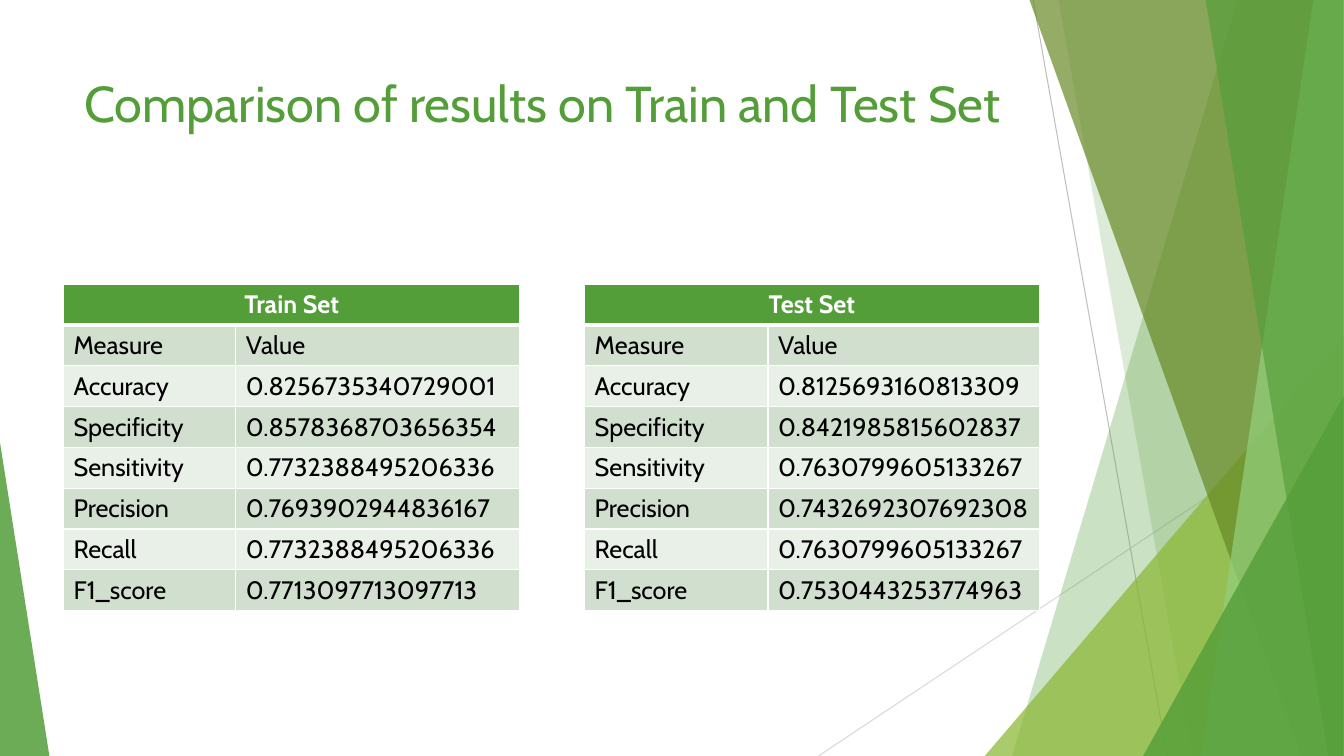
from dataclasses import dataclass

from lxml.etree import SubElement
from pptx import Presentation
from pptx.dml.color import RGBColor
from pptx.enum.shapes import MSO_CONNECTOR, MSO_SHAPE
from pptx.enum.text import PP_ALIGN
from pptx.oxml.ns import qn
from pptx.util import Emu, Pt

PX = 9144  # EMU per px, 100 px to the inch


@dataclass(frozen=True)
class Theme:
    font: str = "Cabin"
    title_size: int = 36
    cell_size: int = 18
    green: str = "549E39"
    lime: str = "8AB833"
    olive: str = "678A26"
    mint: str = "93D07D"
    band_dark: str = "D1DFCE"
    band_light: str = "E9F0E8"
    line_dark: str = "BFBFBF"
    line_light: str = "D9D9D9"
    white: str = "FFFFFF"
    black: str = "000000"


THEME = Theme()
MEASURES = ["Accuracy", "Specificity", "Sensitivity", "Precision", "Recall", "F1_score"]
TRAIN = ["0.8256735340729001", "0.8578368703656354", "0.7732388495206336",
         "0.7693902944836167", "0.7732388495206336", "0.7713097713097713"]
TEST = ["0.8125693160813309", "0.8421985815602837", "0.7630799605133267",
        "0.7432692307692308", "0.7630799605133267", "0.7530443253774963"]


def px(*lengths):
    return [Emu(n * PX) for n in lengths]


def rgb(color):
    return RGBColor.from_string(color)


def paint(sp, color, opacity):
    sp.shadow.inherit = False
    sp.line.fill.background()
    sp.fill.solid()
    sp.fill.fore_color.rgb = rgb(color)
    srgb = sp.fill._xPr.find(".//" + qn("a:srgbClr"))
    SubElement(srgb, qn("a:alpha"), val=str(opacity * 1000))


def add_line(s, start, end, color):
    line = s.shapes.add_connector(MSO_CONNECTOR.STRAIGHT, *px(*start, *end))
    line.line.color.rgb = rgb(color)
    line.line.width = Pt(0.75)
    SubElement(line._element.spPr, qn("a:effectLst"))


def add_shard(s, top, bottom, color, opacity):
    """Panel with a slanted left edge that runs to the right of the slide."""
    builder = s.shapes.build_freeform(top, -1, scale=PX)
    builder.add_line_segments([(1333, -1), (1333, 750), (bottom, 750)], close=True)
    paint(builder.convert_to_shape(), color, opacity)


def add_triangle(s, box, apex, color, opacity):
    sp = s.shapes.add_shape(MSO_SHAPE.ISOSCELES_TRIANGLE, *px(*box))
    sp.adjustments[0] = apex
    paint(sp, color, opacity)


def style_text(p, size, color, bold=False):
    for r in p.runs:
        r.font.name = THEME.font
        r.font.size = Pt(size)
        r.font.bold = bold
        r.font.color.rgb = rgb(color)


def add_title(s, box, text):
    tf = s.shapes.add_textbox(*px(*box)).text_frame
    tf.word_wrap = True
    tf.text = text
    style_text(tf.paragraphs[0], THEME.title_size, THEME.green)


def style_cell(cell, fill, bottom_width):
    tcPr = cell._tc.get_or_add_tcPr()
    for side, width in zip("LRTB", (1, 1, 1, bottom_width)):
        ln = SubElement(tcPr, qn(f"a:ln{side}"), w=str(Pt(width)))
        SubElement(SubElement(ln, qn("a:solidFill")), qn("a:srgbClr"), val=THEME.white)
    cell.fill.solid()
    cell.fill.fore_color.rgb = rgb(fill)


def add_results(s, left, widths, heading, values):
    rows = [(heading, ""), ("Measure", "Value"), *zip(MEASURES, values)]
    frame = s.shapes.add_table(len(rows), 2, *px(left, 282, sum(widths), 324))
    table = frame.table
    for column, width in zip(table.columns, px(*widths)):
        column.width = width
    for i, row in enumerate(rows):
        header = i == 0
        band = THEME.band_dark if i % 2 else THEME.band_light
        for j, text in enumerate(row):
            cell = table.cell(i, j)
            cell.text = text
            style_cell(cell, THEME.green if header else band, 3 if header else 1)
            style_text(cell.text_frame.paragraphs[0], THEME.cell_size,
                       THEME.white if header else THEME.black, header)
    # Heading across both columns
    table.cell(0, 0).merge(table.cell(0, 1))
    table.cell(0, 0).text_frame.paragraphs[0].alignment = PP_ALIGN.CENTER


def main():
    prs = Presentation()
    prs.slide_width, prs.slide_height = Emu(12192000), Emu(6858000)
    s = prs.slides.add_slide(prs.slide_layouts[6])

    # Faceted backdrop, back to front
    add_line(s, (1025, 0), (1158, 750), THEME.line_dark)
    add_line(s, (1333, 403), (812, 750), THEME.line_light)
    add_shard(s, 1228, 1004, THEME.green, 30)
    add_shard(s, 1050, 1183, THEME.green, 20)
    add_triangle(s, (977, 333, 356, 417), 1, THEME.lime, 72)
    add_shard(s, 1021, 1291, THEME.olive, 70)
    add_shard(s, 1303, 1192, THEME.mint, 70)
    add_shard(s, 1196, 1318, THEME.green, 65)
    add_triangle(s, (1134, 393, 199, 357), 1, THEME.green, 80)
    add_triangle(s, (0, 439, 49, 311), 0, THEME.green, 85)

    # Title and the two result tables
    add_title(s, (74, 67, 940, 144), "Comparison of results on Train and Test Set")
    add_results(s, 63, (171, 282), "Train Set", TRAIN)
    add_results(s, 580, (182, 269), "Test Set", TEST)

    prs.save("out.pptx")


if __name__ == "__main__":
    main()
